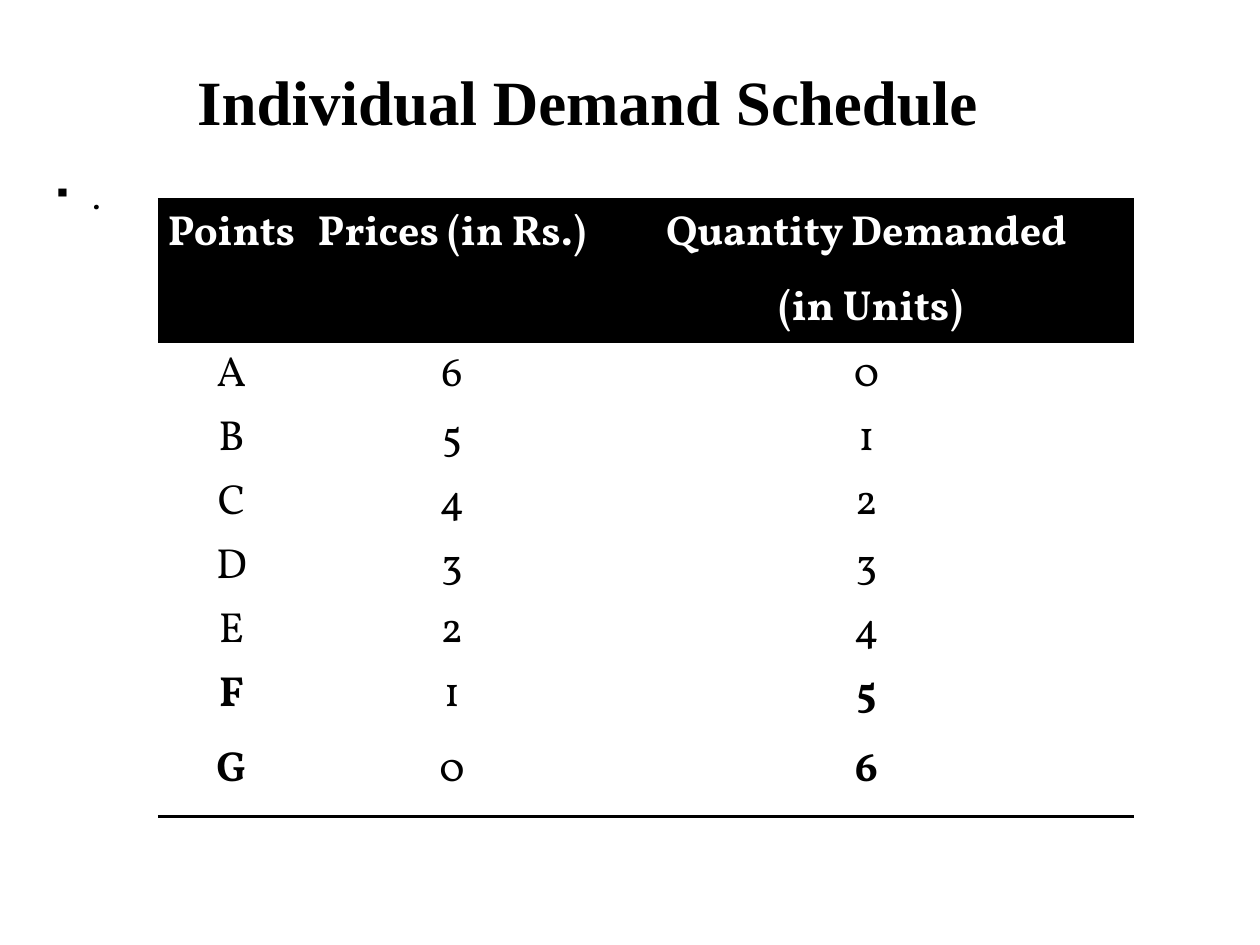
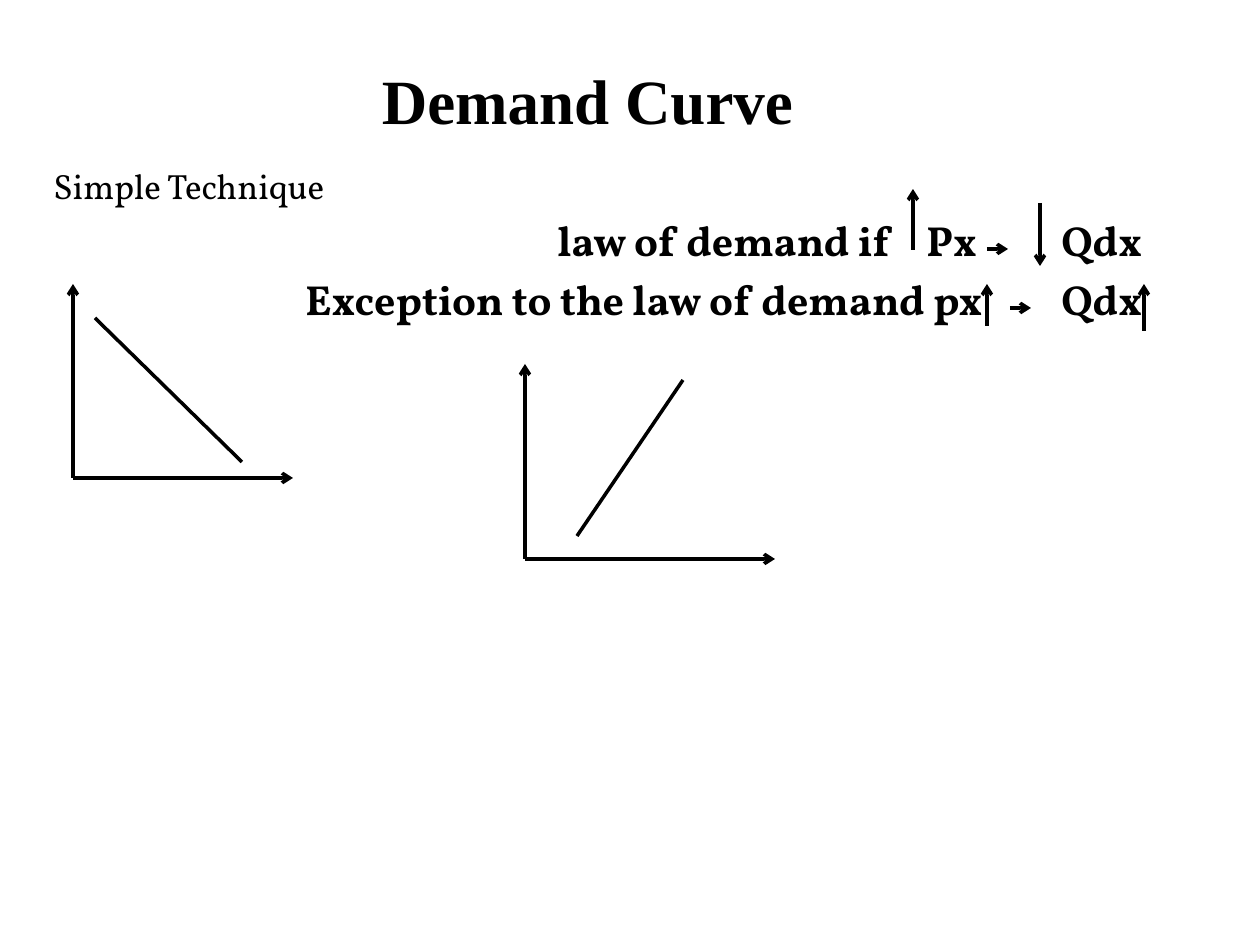
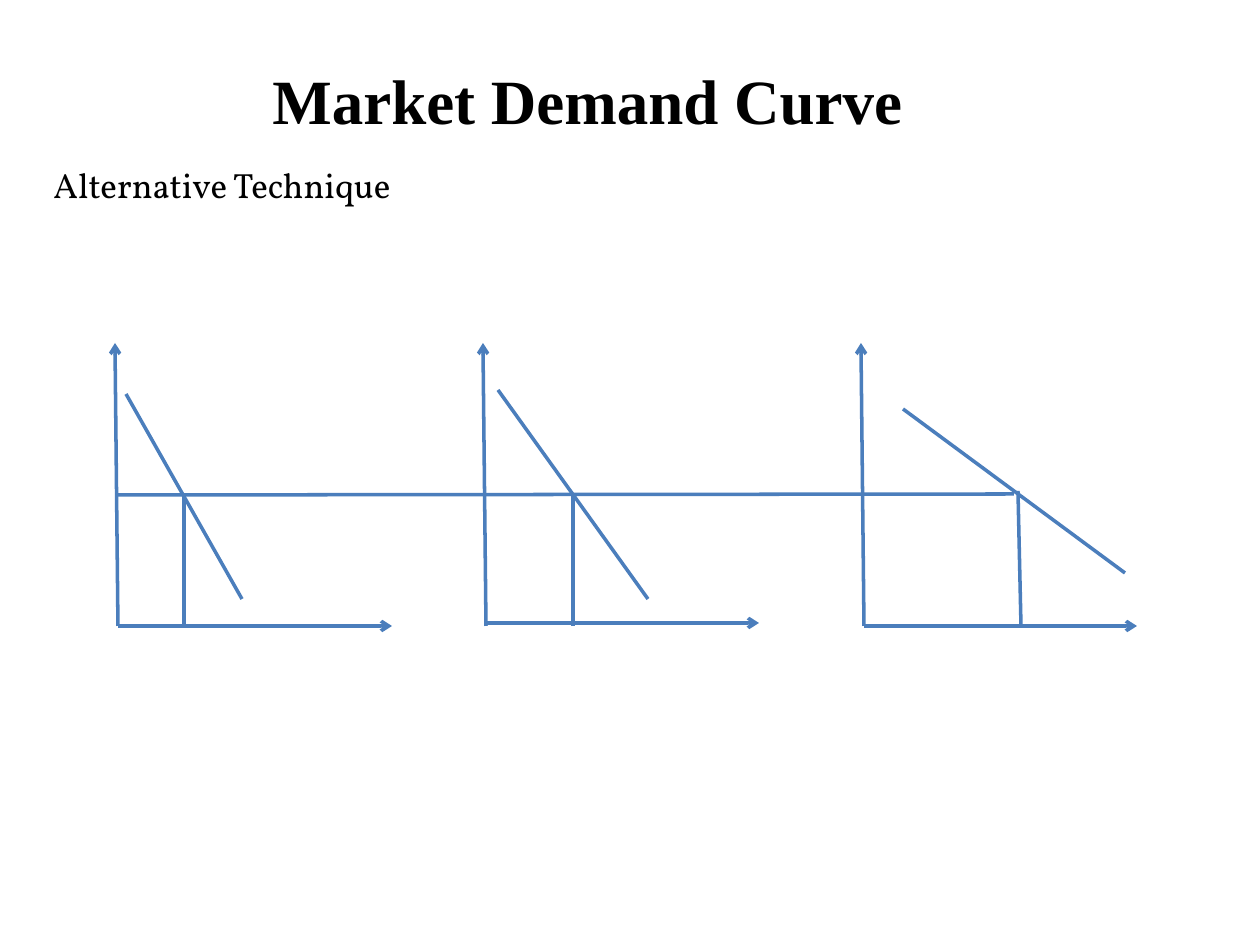
from dataclasses import dataclass

import lxml.etree
import pptx
import pptx.dml.color
import pptx.enum.shapes
import pptx.enum.text
import pptx.oxml.ns
import pptx.util

# Shared look
BLACK = pptx.dml.color.RGBColor(0x00, 0x00, 0x00)
WHITE = pptx.dml.color.RGBColor(0xFF, 0xFF, 0xFF)
BLUE = pptx.dml.color.RGBColor(0x4B, 0x7E, 0xBC)
TITLE_FONT = "Times New Roman"
BODY_FONT = "Vollkorn"
TITLE_SIZE, BODY_SIZE, LARGE_SIZE = 36, 20, 24
LINE_WIDTH = pptx.util.Pt(2)
PIXELS_PER_INCH = 126
NO_TABLE_STYLE = "{2D5ABB26-0587-4C30-8999-92F81FD0307C}"
ALIGN = pptx.enum.text.PP_ALIGN

Point = tuple[int, int]


@dataclass(frozen=True)
class Box:
    left: int
    top: int
    width: int
    height: int


@dataclass(frozen=True)
class Paragraph:
    text: str
    size: int = BODY_SIZE
    bold: bool = False
    bullet: str = ""
    tab_stops: tuple[int, ...] = ()


@dataclass(frozen=True)
class Line:
    start: Point
    end: Point
    arrow: bool = False


@dataclass(frozen=True)
class Graph:
    origin: Point
    top: Point
    right: Point
    curve: Line

    def lines(self) -> list[Line]:
        return [
            Line((self.origin[0], self.right[1]), self.right, arrow=True),
            Line(self.origin, self.top, arrow=True),
            self.curve,
        ]


def px(pixels: int) -> pptx.util.Emu:
    return pptx.util.Emu(round(pixels * 914400 / PIXELS_PER_INCH))


def add_element(parent, tag: str, **attributes):
    name = pptx.oxml.ns.qn(tag)
    return lxml.etree.SubElement(parent, name, {key: str(value) for key, value in attributes.items()})


def format_runs(paragraph, font: str, size: int, bold: bool, color) -> None:
    for run in paragraph.runs:
        run.font.name = font
        run.font.size = pptx.util.Pt(size)
        run.font.bold = bold
        run.font.color.rgb = color


def add_text_frame(slide, box: Box):
    shape = slide.shapes.add_textbox(px(box.left), px(box.top), px(box.width), px(box.height))
    shape.text_frame.word_wrap = True
    return shape.text_frame


def add_title(slide, text: str, top: int, height: int) -> None:
    text_frame = add_text_frame(slide, Box(52, top, 1071, height))
    text_frame.vertical_anchor = pptx.enum.text.MSO_ANCHOR.MIDDLE
    text_frame.text = text
    paragraph = text_frame.paragraphs[0]
    paragraph.alignment = ALIGN.CENTER
    format_runs(paragraph, TITLE_FONT, TITLE_SIZE, True, BLACK)


def add_body(slide, paragraphs: list[Paragraph], top: int, height: int) -> None:
    text_frame = add_text_frame(slide, Box(41, top, 1124, height))
    text_frame.text = "\n".join(item.text for item in paragraphs)
    for paragraph, item in zip(text_frame.paragraphs, paragraphs):
        paragraph.alignment = ALIGN.JUSTIFY
        format_runs(paragraph, BODY_FONT, item.size, item.bold, BLACK)
        properties = paragraph._p.get_or_add_pPr()
        add_element(add_element(properties, "a:spcBef"), "a:spcPct", val=20000)
        if item.bullet:
            properties.set("marL", str(px(39)))
            properties.set("indent", str(-px(39)))
            add_element(properties, "a:buSzPct", val=70000)
            add_element(properties, "a:buChar", char=item.bullet)
        if item.tab_stops:
            tabs = add_element(properties, "a:tabLst")
            for stop in item.tab_stops:
                add_element(tabs, "a:tab", pos=px(stop), algn="l")


def add_line(slide, line: Line, color) -> None:
    connector = slide.shapes.add_connector(
        pptx.enum.shapes.MSO_CONNECTOR.STRAIGHT, *map(px, line.start + line.end)
    )
    connector.line.color.rgb = color
    connector.line.width = LINE_WIDTH
    if line.arrow:
        add_element(connector.line._get_or_add_ln(), "a:tailEnd", type="arrow")
    add_element(connector._element.spPr, "a:effectLst")


def add_border(cell, side: str) -> None:
    border = lxml.etree.Element(pptx.oxml.ns.qn(side), {"w": str(LINE_WIDTH)})
    fill = add_element(border, "a:solidFill")
    add_element(fill, "a:srgbClr", val=BLACK)
    properties = cell._tc.get_or_add_tcPr()
    # Borders come before the cell fill
    position = len(properties.findall(pptx.oxml.ns.qn("a:lnT")))
    properties.insert(position, border)


def fill_cell(cell, text: str, header: bool, bold_lines: bool, sides: tuple[str, ...]) -> None:
    cell.margin_left = cell.margin_right = px(9)
    cell.margin_top = cell.margin_bottom = 0
    cell.fill.solid()
    cell.fill.fore_color.rgb = BLACK if header else WHITE
    cell.text_frame.text = text
    for paragraph in cell.text_frame.paragraphs:
        paragraph.alignment = ALIGN.CENTER
        paragraph.line_spacing = 1.1
        paragraph.space_before = paragraph.space_after = pptx.util.Pt(3)
        format_runs(paragraph, BODY_FONT, LARGE_SIZE, header or bold_lines, WHITE if header else BLACK)
    for side in sides:
        add_border(cell, side)


def add_schedule(slide, rows: list[tuple[str, ...]], left: int, top: int,
                 widths: list[int], heights: list[int]) -> None:
    table = slide.shapes.add_table(
        len(rows), len(widths), px(left), px(top), px(sum(widths)), px(sum(heights))
    ).table
    table.horz_banding = table.first_row = False
    table._tbl.tblPr.find(pptx.oxml.ns.qn("a:tableStyleId")).text = NO_TABLE_STYLE
    for column, width in zip(table.columns, widths):
        column.width = px(width)
    for row, height in zip(table.rows, heights):
        row.height = px(height)
    last = len(rows) - 1
    for row_index, row in enumerate(rows):
        header = row_index == 0
        sides = ("a:lnT", "a:lnB") if header else ("a:lnB",) if row_index == last else ()
        for column_index, text in enumerate(row):
            # The last row stresses the point and the quantity
            bold = row_index == last and column_index != 1
            fill_cell(table.cell(row_index, column_index), text, header, bold, sides)


presentation = pptx.Presentation()
presentation.slide_width = px(1260)
presentation.slide_height = px(945)


def add_slide(title: str, body: list[Paragraph], title_top: int = 41, title_height: int = 116,
              body_top: int = 158, body_height: int = 746):
    slide = presentation.slides.add_slide(presentation.slide_layouts[6])
    add_title(slide, title, title_top, title_height)
    add_body(slide, body, body_top, body_height)
    return slide


# Slide 1: demand schedule
slide = add_slide("Individual Demand Schedule", [Paragraph(".", bullet="▪")], 44, 113, 168, 735)
schedule = [
    ("Points", "Prices (in Rs.)", "Quantity Demanded\n (in Units)"),
    *((point, str(6 - quantity), str(quantity)) for quantity, point in enumerate("ABCDE")),
    ("F\nG", "1\n0", "5\n6"),
]
add_schedule(slide, schedule, 158, 200, [147, 294, 535], [141] + [64] * 5 + [156])

# Slide 2: law of demand and its exception
slide = add_slide("Demand Curve", [
    Paragraph("Simple Technique"),
    Paragraph("\tlaw of demand if\tPx\tQdx", LARGE_SIZE, True, tab_stops=(504, 873, 1008)),
    Paragraph("\t\tException to the law of demand px\tQdx", LARGE_SIZE, True, tab_stops=(126, 252, 1008)),
])
demand_graphs = [
    Graph((73, 478), (73, 284), (293, 478), Line((95, 318), (242, 462))),
    Graph((525, 559), (525, 364), (775, 559), Line((577, 536), (683, 380))),
]
change_arrows = [
    Line((913, 250), (913, 189), True),
    Line((987, 249), (1008, 249), True),
    Line((1040, 203), (1040, 266), True),
    Line((987, 326), (987, 284), True),
    Line((1010, 308), (1031, 308), True),
    Line((1144, 331), (1144, 284), True),
]
for line in [line for graph in demand_graphs for line in graph.lines()] + change_arrows:
    add_line(slide, line, BLACK)

# Slide 3: individual curves added up to the market curve
slide = add_slide("Market Demand Curve", [Paragraph("Alternative Technique")], body_top=157)
market_graphs = [
    Graph((118, 626), (115, 343), (392, 626), Line((126, 394), (242, 599))),
    Graph((486, 626), (483, 343), (759, 623), Line((498, 390), (648, 599))),
    Graph((864, 626), (861, 343), (1137, 626), Line((903, 409), (1125, 573))),
]
guides = [
    Line((117, 495), (1014, 494)),
    Line((184, 495), (184, 626)),
    Line((573, 495), (573, 626)),
    Line((1018, 491), (1021, 626)),
]
for line in [line for graph in market_graphs for line in graph.lines()] + guides:
    add_line(slide, line, BLUE)

presentation.save("out.pptx")
